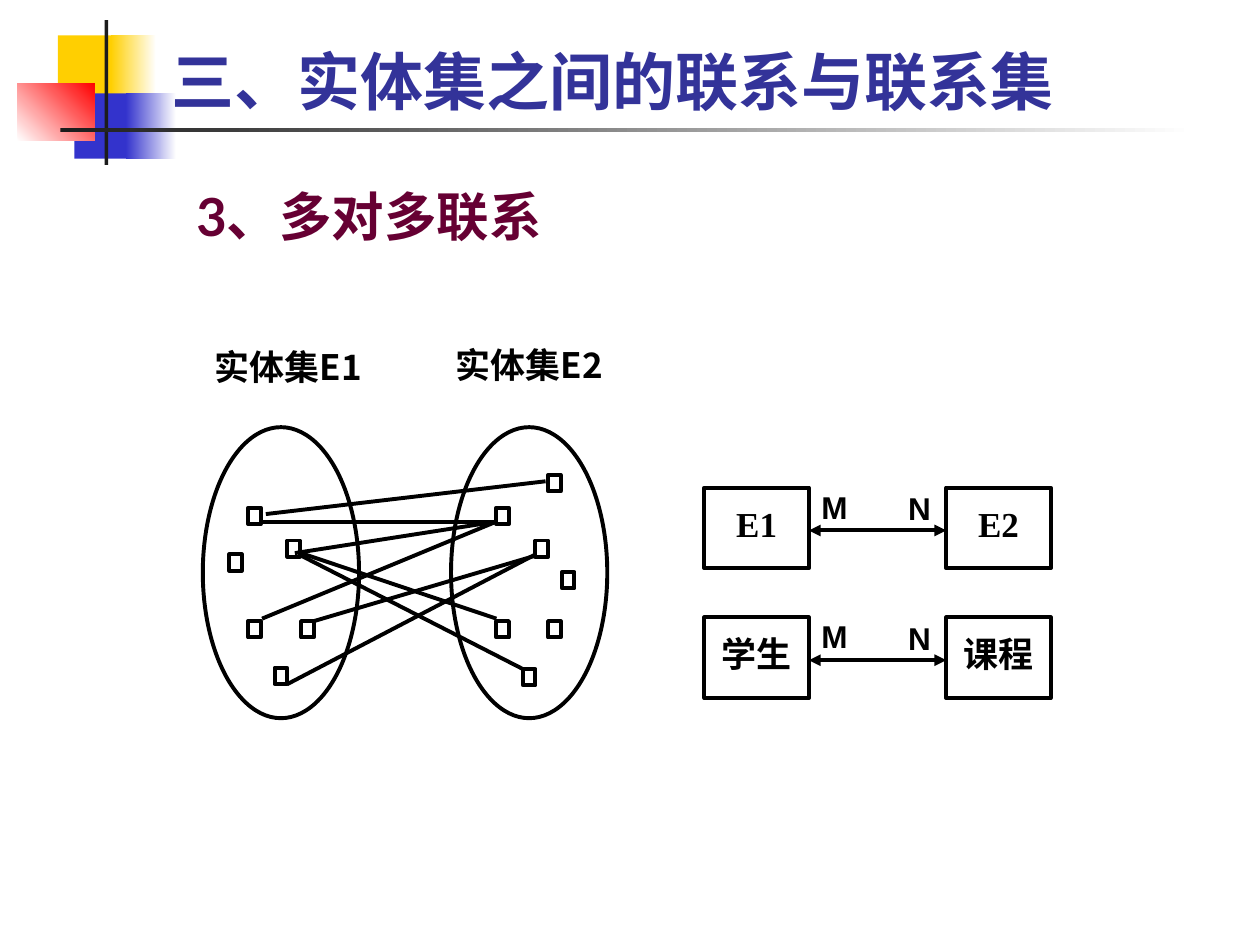
"""Build the slide on many-to-many relationships between entity sets."""
import dataclasses
import typing

import lxml.etree
import pptx
import pptx.dml.color
import pptx.enum.shapes
import pptx.enum.text
import pptx.oxml.ns
import pptx.util

EMU_PER_PX = 9144
SHAPES = pptx.enum.shapes.MSO_SHAPE
ALIGN = pptx.enum.text.PP_ALIGN
ANCHOR = pptx.enum.text.MSO_ANCHOR
qn = pptx.oxml.ns.qn


@dataclasses.dataclass(frozen=True)
class Theme:
    ink: str = "000000"
    white: str = "FFFFFF"
    yellow: str = "FFCF01"
    blue: str = "3333CC"
    red: str = "FF0000"
    rule: str = "1C1C1C"
    title: str = "333399"
    heading: str = "660033"
    title_size: int = 36
    heading_size: int = 30
    label_size: int = 20
    cardinality_size: int = 18
    line_width: float = 2.25
    cjk_font: str = "Noto Sans CJK SC"
    heading_font: str = "Lato"
    entity_font: str = "Times New Roman"
    cardinality_font: str = "Arial"


THEME = Theme()


class Box(typing.NamedTuple):
    left: int
    top: int
    width: int
    height: int


class Style(typing.NamedTuple):
    font: str
    size: int
    color: str = THEME.ink
    align: ALIGN = ALIGN.LEFT
    anchor: ANCHOR = ANCHOR.TOP
    insets: tuple[int, int, int, int] = (10, 5, 10, 5)
    spacing: float = 1.0


class Ornament(typing.NamedTuple):
    box: Box
    start: str
    end: str | None = None
    angle: int = 0


class EntitySet(typing.NamedTuple):
    label: str
    label_box: Box
    outline: Box
    members: tuple[tuple[int, int], ...]


class Link(typing.NamedTuple):
    x1: int
    y1: int
    x2: int
    y2: int


class Relationship(typing.NamedTuple):
    top: int
    source: str
    target: str


TITLE_STYLE = Style(THEME.heading_font, THEME.title_size, THEME.title, anchor=ANCHOR.BOTTOM)
HEADING_STYLE = Style(THEME.heading_font, THEME.heading_size, THEME.heading, spacing=1.2)
SET_STYLE = Style(THEME.cjk_font, THEME.label_size, align=ALIGN.CENTER, insets=(0, 0, 0, 0))
ENTITY_STYLE = Style(THEME.entity_font, THEME.label_size, align=ALIGN.CENTER, insets=(0, 12, 0, 0))
CARDINALITY_STYLE = Style(THEME.cardinality_font, THEME.cardinality_size, anchor=ANCHOR.BOTTOM)

ORNAMENTS = (
    Ornament(Box(46, 28, 48, 52), THEME.yellow),
    Ornament(Box(88, 28, 36, 52), THEME.yellow, THEME.white),
    Ornament(Box(59, 74, 46, 52), THEME.blue),
    Ornament(Box(100, 74, 40, 52), THEME.blue, THEME.white),
    Ornament(Box(14, 66, 61, 46), THEME.white, THEME.red, 45),
    Ornament(Box(83, 16, 3, 115), THEME.rule),
    Ornament(Box(48, 102, 900, 3), THEME.rule, THEME.white),
)
ENTITY_SETS = (
    EntitySet("实体集E1", Box(146, 274, 166, 64), Box(161, 339, 124, 231),
              ((197, 403), (228, 429), (239, 493), (197, 493), (182, 440), (218, 530))),
    EntitySet("实体集E2", Box(337, 273, 166, 64), Box(358, 339, 124, 231),
              ((394, 403), (425, 429), (435, 493), (394, 493), (446, 454), (435, 377), (415, 531))),
)
LINKS = (
    Link(211, 408, 433, 382),
    Link(239, 441, 415, 531),
    Link(249, 493, 425, 441),
    Link(208, 414, 394, 414),
    Link(239, 439, 394, 491),
    Link(394, 414, 234, 439),
    Link(394, 414, 208, 491),
    Link(425, 440, 228, 543),
)
RELATIONSHIPS = (Relationship(387, "E1", "E2"), Relationship(490, "学生", "课程"))


def px(length: int) -> pptx.util.Emu:
    return pptx.util.Emu(length * EMU_PER_PX)


def rgb(color: str) -> pptx.dml.color.RGBColor:
    return pptx.dml.color.RGBColor.from_string(color)


def write(shape, wording: str, style: Style) -> None:
    frame = shape.text_frame
    frame.text = wording
    frame.word_wrap = True
    frame.vertical_anchor = style.anchor
    (frame.margin_left, frame.margin_top,
     frame.margin_right, frame.margin_bottom) = map(px, style.insets)
    paragraph = frame.paragraphs[0]
    paragraph.alignment = style.align
    paragraph.line_spacing = style.spacing
    run = paragraph.runs[0]
    run.font.name = style.font
    run.font.size = pptx.util.Pt(style.size)
    run.font.bold = True
    run.font.color.rgb = rgb(style.color)
    properties = run._r.get_or_add_rPr()
    lxml.etree.SubElement(properties, qn("a:ea"), typeface=THEME.cjk_font)


def add_text(slide, box: Box, wording: str, style: Style) -> None:
    write(slide.shapes.add_textbox(*map(px, box)), wording, style)


def add_ornament(slide, ornament: Ornament) -> None:
    block = slide.shapes.add_shape(SHAPES.RECTANGLE, *map(px, ornament.box))
    block.shadow.inherit = False
    block.line.fill.background()
    if ornament.end is None:
        block.fill.solid()
        block.fill.fore_color.rgb = rgb(ornament.start)
        return
    block.fill.gradient()
    block.fill.gradient_angle = ornament.angle
    for stop, color in zip(block.fill.gradient_stops, (ornament.start, ornament.end)):
        stop.color.rgb = rgb(color)


def add_outline(slide, preset: SHAPES, box: Box):
    outline = slide.shapes.add_shape(preset, *map(px, box))
    outline.shadow.inherit = False
    outline.fill.background()
    outline.line.color.rgb = rgb(THEME.ink)
    outline.line.width = pptx.util.Pt(THEME.line_width)
    return outline


def add_link(slide, link: Link, arrows: bool = False) -> None:
    connector = slide.shapes.add_connector(
        pptx.enum.shapes.MSO_CONNECTOR.STRAIGHT, *map(px, link))
    connector.line.color.rgb = rgb(THEME.ink)
    connector.line.width = pptx.util.Pt(THEME.line_width)
    properties = connector._element.spPr
    if arrows:
        for end in ("a:headEnd", "a:tailEnd"):
            lxml.etree.SubElement(properties.find(qn("a:ln")), qn(end), type="triangle")
    lxml.etree.SubElement(properties, qn("a:effectLst"))


def add_entity_set(slide, entity_set: EntitySet) -> None:
    add_text(slide, entity_set.label_box, entity_set.label, SET_STYLE)
    add_outline(slide, SHAPES.OVAL, entity_set.outline)
    for left, top in entity_set.members:
        add_outline(slide, SHAPES.RECTANGLE, Box(left, top, 10, 13))


def add_relationship(slide, relationship: Relationship) -> None:
    top = relationship.top
    for left, entity in ((559, relationship.source), (751, relationship.target)):
        write(add_outline(slide, SHAPES.RECTANGLE, Box(left, top, 83, 64)), entity, ENTITY_STYLE)
    add_link(slide, Link(642, top + 34, 751, top + 34), arrows=True)
    add_text(slide, Box(642, top - 5, 55, 40), "M", CARDINALITY_STYLE)
    add_text(slide, Box(711, top - 4, 55, 40), "N", CARDINALITY_STYLE)


def main() -> None:
    deck = pptx.Presentation()
    deck.slide_width, deck.slide_height = px(1000), px(750)
    slide = deck.slides.add_slide(deck.slide_layouts[6])
    for ornament in ORNAMENTS:
        add_ornament(slide, ornament)
    add_text(slide, Box(126, 8, 852, 91), "三、实体集之间的联系与联系集", TITLE_STYLE)
    add_text(slide, Box(146, 131, 803, 75), "3、多对多联系", HEADING_STYLE)
    for entity_set in ENTITY_SETS:
        add_entity_set(slide, entity_set)
    for link in LINKS:
        add_link(slide, link)
    for relationship in RELATIONSHIPS:
        add_relationship(slide, relationship)
    deck.save("out.pptx")


if __name__ == "__main__":
    main()
